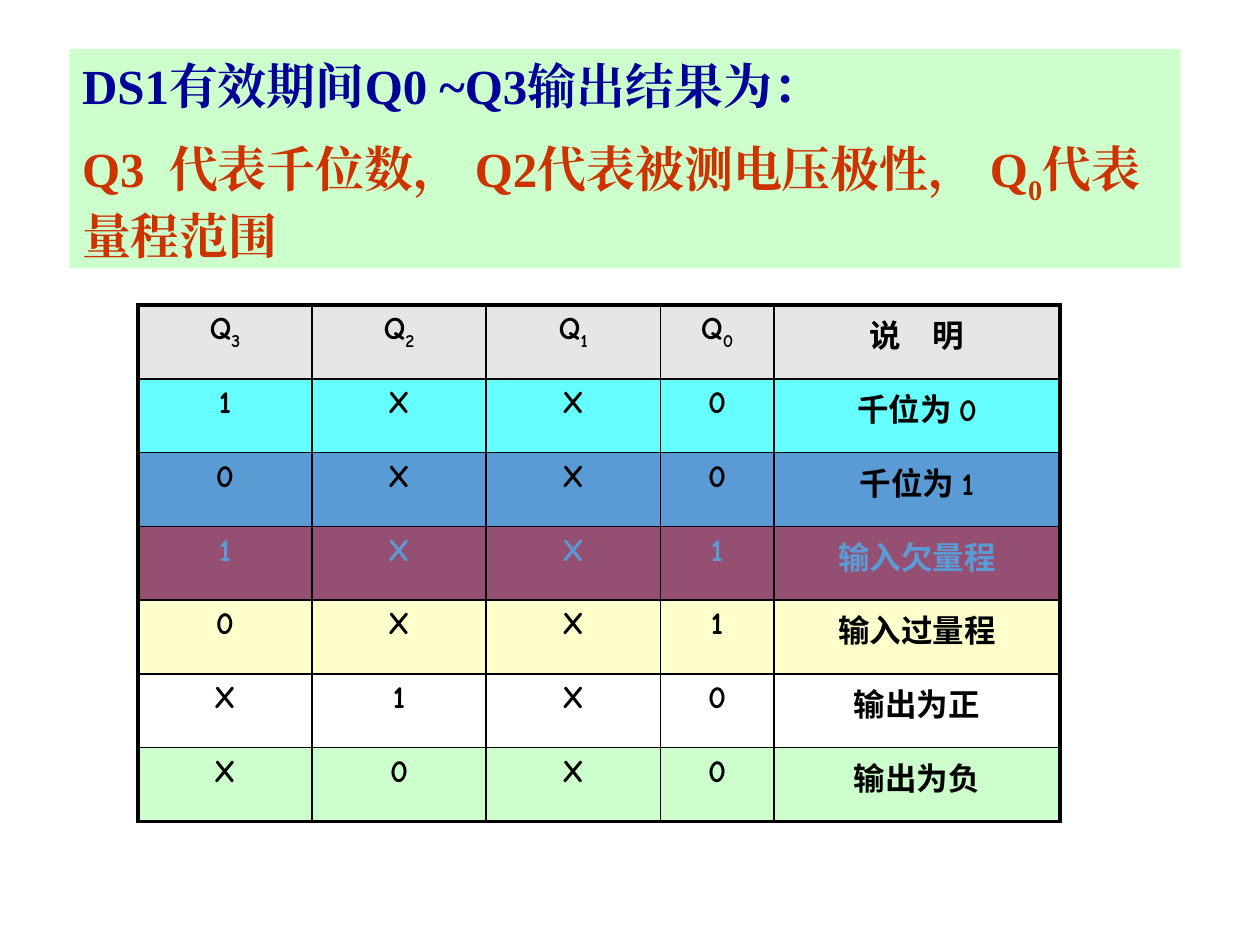
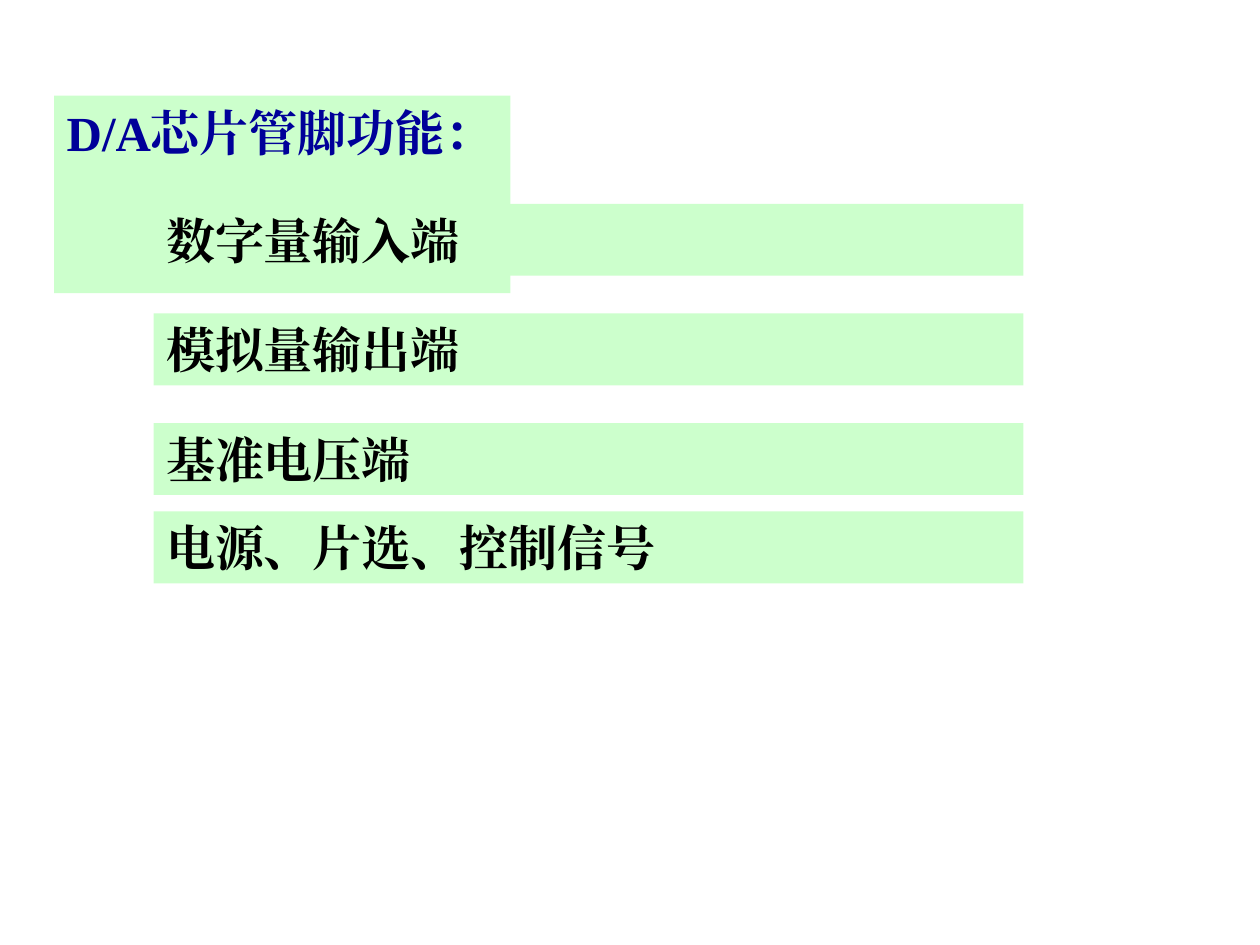
"""Build two slides on the DS1 output codes and the pins of a D/A chip."""
from lxml import etree
from pptx import Presentation
from pptx.dml.color import RGBColor
from pptx.enum.text import MSO_ANCHOR, MSO_AUTO_SIZE, PP_ALIGN
from pptx.oxml.ns import qn
from pptx.util import Cm, Pt

LEFT, CENTER = PP_ALIGN.LEFT, PP_ALIGN.CENTER
TOP = MSO_ANCHOR.TOP
GROW = MSO_AUTO_SIZE.SHAPE_TO_FIT_TEXT
TITLE_ONLY = 5

BLACK = RGBColor(0x00, 0x00, 0x00)
WHITE = RGBColor(0xFF, 0xFF, 0xFF)
NAVY = RGBColor(0x00, 0x00, 0x99)
RUST = RGBColor(0xCC, 0x33, 0x00)
MINT = RGBColor(0xCC, 0xFF, 0xCC)
GREY = RGBColor(0xE7, 0xE6, 0xE6)
CYAN = RGBColor(0x66, 0xFF, 0xFF)
BLUE = RGBColor(0x5B, 0x9B, 0xD5)
PLUM = RGBColor(0x95, 0x4F, 0x72)
CREAM = RGBColor(0xFF, 0xFF, 0xCC)

SERIF, COMIC = "Times New Roman", "Comic Neue"

CODES = [
    (("Q_3", "Q_2", "Q_1", "Q_0", "说　明"), GREY, BLACK),
    (("1", "X", "X", "0", "千位为 0"), CYAN, BLACK),
    (("0", "X", "X", "0", "千位为 1"), BLUE, BLACK),
    (("1", "X", "X", "1", "输入欠量程"), PLUM, BLUE),
    (("0", "X", "X", "1", "输入过量程"), CREAM, BLACK),
    (("X", "1", "X", "0", "输出为正"), WHITE, BLACK),
    (("X", "0", "X", "0", "输出为负"), MINT, BLACK),
]


def write(p, text, size=28, font=SERIF, east_asian=None, color=BLACK, align=LEFT, before=14):
    """Fill a paragraph with bold text; every second part between underscores is a subscript."""
    p.alignment, p.space_before = align, Pt(before)
    for i, part in enumerate(text.split("_")):
        r = p.add_run()
        r.text = part
        r.font.size, r.font.name, r.font.bold = Pt(size), font, True
        r.font.color.rgb = color
        if i % 2:
            r.font._element.set("baseline", "-25000")
        if east_asian:
            etree.SubElement(r.font._element, qn("a:ea"), typeface=east_asian)


def border(cell, side, width):
    """Draw one black border of a table cell."""
    ln = etree.SubElement(cell._tc.get_or_add_tcPr(), qn(f"a:ln{side}"), w=str(Pt(width)))
    fill = etree.SubElement(ln, qn("a:solidFill"))
    etree.SubElement(fill, qn("a:srgbClr"), val=str(BLACK))


class Deck:
    """Hold the presentation, its style and the current slide."""

    def __init__(self):
        """Start an empty 4:3 presentation."""
        self.prs = Presentation()
        self.prs.slide_width, self.prs.slide_height = Cm(25.4), Cm(19.05)
        self.s = None

    def panel(self, sp, box, paragraphs):
        """Place a mint text panel and write its (text, colour) paragraphs."""
        sp.left, sp.top, sp.width, sp.height = (Cm(v) for v in box)
        sp.fill.solid()
        sp.fill.fore_color.rgb = MINT
        tf = sp.text_frame
        tf.word_wrap, tf.vertical_anchor, tf.auto_size = True, TOP, GROW
        for i, (text, color) in enumerate(paragraphs):
            p = tf.add_paragraph() if i else tf.paragraphs[0]
            write(p, text, color=color, east_asian=SERIF)

    def slide(self, box, *paragraphs):
        """Add a slide whose title is a mint panel."""
        self.s = self.prs.slides.add_slide(self.prs.slide_layouts[TITLE_ONLY])
        self.panel(self.s.shapes.title, box, paragraphs)

    def item(self, box, text):
        """Add a mint panel with one line of black text."""
        sp = self.s.shapes.add_textbox(0, 0, 0, 0)
        self.panel(sp, box, [(text, BLACK)])

    def table(self, left, top, widths, height, rows):
        """Add a table of (texts, fill, colour) rows with a heavy outer frame."""
        last_row, last_col = len(rows) - 1, len(widths) - 1
        frame = self.s.shapes.add_table(len(rows), len(widths), Cm(left), Cm(top),
                                        Cm(sum(widths)), Cm(height))
        table = frame.table
        table.first_row = table.horz_banding = False
        for column, width in zip(table.columns, widths):
            column.width = Cm(width)
        for i, (texts, fill, color) in enumerate(rows):
            for j, text in enumerate(texts):
                cell = table.cell(i, j)
                outer = {"L": j == 0, "R": j == last_col, "T": i == 0, "B": i == last_row}
                for side, heavy in outer.items():
                    border(cell, side, 2.25 if heavy else 1)
                cell.fill.solid()
                cell.fill.fore_color.rgb = fill
                write(cell.text_frame.paragraphs[0], text, size=18, font=COMIC,
                      color=color, align=CENTER, before=3.6)


def main():
    """Build both slides and save them."""
    deck = Deck()
    deck.slide((1.4, 0.99, 22.4, 4.42),
               ("DS1有效期间Q0 ~Q3输出结果为：", NAVY),
               ("Q3  代表千位数， Q2代表被测电压极性， Q_0_代表量程范围", RUST))
    deck.table(2.78, 6.15, (3.51, 3.51, 3.51, 2.29, 5.77), 10.41, CODES)

    deck.slide((1.09, 1.93, 9.2, 1.45), ("D/A芯片管脚功能：", NAVY))
    for i, text in enumerate(("数字量输入端", "模拟量输出端", "基准电压端")):
        deck.item((3.1, 4.11 + 2.21 * i, 17.53, 1.45), text)
    deck.item((3.1, 10.31, 17.53, 1.45), "电源、片选、控制信号")
    deck.prs.save("out.pptx")


if __name__ == "__main__":
    main()
